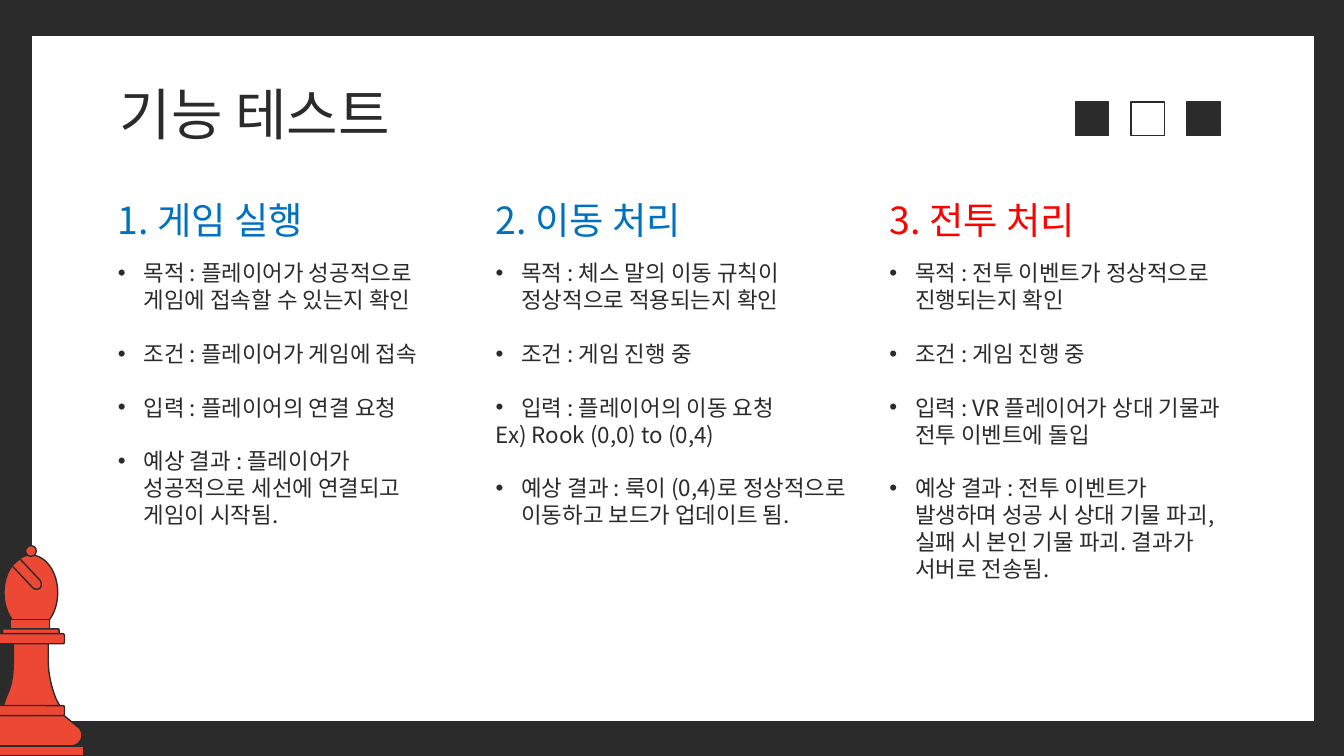
from dataclasses import dataclass
from typing import NamedTuple

from lxml import etree
from pptx import Presentation
from pptx import util as u
from pptx.dml.color import RGBColor
from pptx.enum import shapes, text
from pptx.oxml.ns import qn

COLORS = {"ink": "2B2B2B", "paper": "FFFFFF", "piece": "ED4833",
          "done": "0070C0", "failed": "FF0000"}
FONT = "Noto Sans CJK KR"
CELL = u.Inches(0.01)  # the slide is a grid of 1000 columns by 562.5 rows
COLS, ROWS = 1000, 562.5
KIND = shapes.MSO_SHAPE


class Box(NamedTuple):
    left: float
    top: float
    width: float
    height: float


class Item(NamedTuple):
    words: str
    bulleted: bool = True


@dataclass
class TestCase:
    left: float
    width: float
    heading: str
    color: str
    items: list[Item]


@dataclass
class Outline:
    """Start point, then steps: 2 numbers for a line, 6 for a Bezier curve."""
    start: tuple
    steps: list[tuple]


CASES = [
    TestCase(78, 270, "1. 게임 실행", "done", [
        Item("목적 : 플레이어가 성공적으로 게임에 접속할 수 있는지 확인"),
        Item("조건 : 플레이어가 게임에 접속"),
        Item("입력 : 플레이어의 연결 요청"),
        Item("예상 결과 : 플레이어가 성공적으로 세선에 연결되고 게임이 시작됨."),
    ]),
    TestCase(359, 282, "2. 이동 처리", "done", [
        Item("목적 : 체스 말의 이동 규칙이 정상적으로 적용되는지 확인"),
        Item("조건 : 게임 진행 중"),
        Item("입력 : 플레이어의 이동 요청"),
        Item("Ex) Rook (0,0) to (0,4)", bulleted=False),
        Item("예상 결과 : 룩이 (0,4)로 정상적으로 이동하고 보드가 업데이트 됨."),
    ]),
    TestCase(652, 270, "3. 전투 처리", "failed", [
        Item("목적 : 전투 이벤트가 정상적으로 진행되는지 확인"),
        Item("조건 : 게임 진행 중"),
        Item("입력 : VR 플레이어가 상대 기물과 전투 이벤트에 돌입"),
        Item("예상 결과 : 전투 이벤트가 발생하며 성공 시 상대 기물 파괴, "
             "실패 시 본인 기물 파괴. 결과가 서버로 전송됨."),
    ]),
]

BODY = Outline((10, 478), [(10, 492), (10, 501, 9, 510, 5, 518), (4, 521, 3, 524, 2, 526),
                           (45, 526), (44, 524, 42, 521, 41, 518),
                           (38, 510, 36, 501, 36, 492), (36, 478)])
SLOT = Outline((15, 416), [(13, 417, 11, 419, 9, 421), (24, 437),
                           (25, 438, 26, 438.5, 27, 438.5), (28, 438.5, 29, 438, 30, 437.5),
                           (31, 436, 31, 434, 30, 432)])
BASE = Outline((1, 531), [(-12, 541), (-14, 542, -15, 545, -15, 547),
                          (-15, 551, -11, 555, -7, 555), (53, 555),
                          (58, 555, 61, 551, 61, 547), (61, 545, 60, 542, 58, 541), (46, 531)])
BISHOP = [
    BODY,
    (KIND.OVAL, Box(3, 413, 40, 56)),
    SLOT,
    (KIND.RECTANGLE, Box(8, 461, 29, 8)),
    (KIND.ROUND_2_SAME_RECTANGLE, Box(2, 468, 42, 4)),
    (KIND.ROUNDED_RECTANGLE, Box(-3, 471.5, 51, 7.5)),
    (KIND.RECTANGLE, Box(-17, 555, 79, 7.5)),
    BASE,
    (KIND.ROUNDED_RECTANGLE, Box(-3, 525, 51, 7.5)),
    (KIND.OVAL, Box(19, 406, 8, 8)),
]


def rgb(name: str) -> RGBColor:
    return RGBColor.from_string(COLORS[name])


def emu(cells: float) -> int:
    return round(cells * CELL)


def place(shape, box: Box) -> None:
    for side, cells in box._asdict().items():
        setattr(shape, side, emu(cells))


def paint(shape, fill: str) -> None:
    shape.shadow.inherit = False
    shape.fill.solid()
    shape.fill.fore_color.rgb = rgb(fill)
    shape.line.color.rgb = rgb("ink")
    shape.line.width = u.Pt(0.75)


def draw_preset(slide, kind, box: Box, fill: str) -> None:
    paint(slide.shapes.add_shape(kind, *map(emu, box)), fill)


def bezier(points: list[tuple], count: int = 12) -> list[tuple]:
    """Points along a cubic curve, without its start."""
    curve = []
    for t in (i / count for i in range(1, count + 1)):
        weights = ((1 - t) ** 3, 3 * t * (1 - t) ** 2, 3 * t * t * (1 - t), t ** 3)
        curve.append(tuple(sum(w * p[axis] for w, p in zip(weights, points))
                           for axis in (0, 1)))
    return curve


def draw_outline(slide, outline: Outline, fill: str) -> None:
    points = [outline.start]
    for step in outline.steps:
        pairs = list(zip(step[::2], step[1::2]))
        points += bezier([points[-1], *pairs]) if len(pairs) == 3 else pairs
    start, *rest = [(emu(x), emu(y)) for x, y in points]
    builder = slide.shapes.build_freeform(*start)
    builder.add_line_segments(rest, close=True)
    paint(builder.convert_to_shape(), fill)


def format_frame(frame, anchor) -> None:
    settings = {"word_wrap": True, "auto_size": text.MSO_AUTO_SIZE.NONE,
                "vertical_anchor": anchor}
    margins = {f"margin_{side}": u.Inches(0.1) for side in ("left", "top", "right", "bottom")}
    for name, value in (settings | margins).items():
        setattr(frame, name, value)


def write(paragraph, words: str, size: float, color: str) -> None:
    settings = {"alignment": text.PP_ALIGN.LEFT, "line_spacing": u.Pt(1.2 * size)}
    for name, value in settings.items():
        setattr(paragraph, name, value)
    run = paragraph.add_run()
    run.text = words
    for name, value in {"size": u.Pt(size), "name": FONT}.items():
        setattr(run.font, name, value)
    run.font.color.rgb = rgb(color)
    etree.SubElement(run._r.get_or_add_rPr(), qn("a:ea"), typeface=FONT)


def add_bullet(paragraph) -> None:
    properties = paragraph._p.get_or_add_pPr()
    properties.set("marL", str(emu(19)))
    properties.set("indent", str(-emu(19)))
    tint = etree.SubElement(properties, qn("a:buClr"))
    etree.SubElement(tint, qn("a:srgbClr"), val=COLORS["ink"])
    etree.SubElement(properties, qn("a:buFont"), typeface="Arial")
    etree.SubElement(properties, qn("a:buChar"), char="•")


def add_frame(slide, box: Box, anchor):
    frame = slide.shapes.add_textbox(*map(emu, box)).text_frame
    format_frame(frame, anchor)
    return frame


def draw_case(slide, case: TestCase) -> None:
    heading = add_frame(slide, Box(case.left, 138, case.width, 52), text.MSO_ANCHOR.BOTTOM)
    write(heading.paragraphs[0], case.heading, 20, case.color)
    details = add_frame(slide, Box(case.left, 183, case.width, 331), text.MSO_ANCHOR.TOP)
    for i, item in enumerate(case.items):
        paragraph = details.add_paragraph() if i else details.paragraphs[0]
        if item.bulleted:
            add_bullet(paragraph)
            if i:
                paragraph.space_before = u.Pt(14.4)
        write(paragraph, item.words, 12, "ink")


def main() -> None:
    deck = Presentation()
    deck.slide_width, deck.slide_height = emu(COLS), emu(ROWS)
    slide = deck.slides.add_slide(deck.slide_layouts[5])
    slide.background.fill.solid()
    slide.background.fill.fore_color.rgb = rgb("ink")

    draw_preset(slide, KIND.RECTANGLE, Box(23, 26, 955, 511), "paper")
    for part in BISHOP:
        if isinstance(part, Outline):
            draw_outline(slide, part, "piece")
        else:
            draw_preset(slide, *part, "piece")

    title = slide.shapes.title
    slide.shapes._spTree.append(title._element)  # bring in front of the white board
    place(title, Box(79, 49, 843, 63))
    format_frame(title.text_frame, text.MSO_ANCHOR.TOP)
    write(title.text_frame.paragraphs[0], "기능 테스트", 30, "ink")

    for case in CASES:
        draw_case(slide, case)
    for i, fill in enumerate(("ink", "paper", "ink")):
        draw_preset(slide, KIND.RECTANGLE, Box(800 + 41.5 * i, 76, 25, 25), fill)
    deck.save("out.pptx")


if __name__ == "__main__":
    main()
